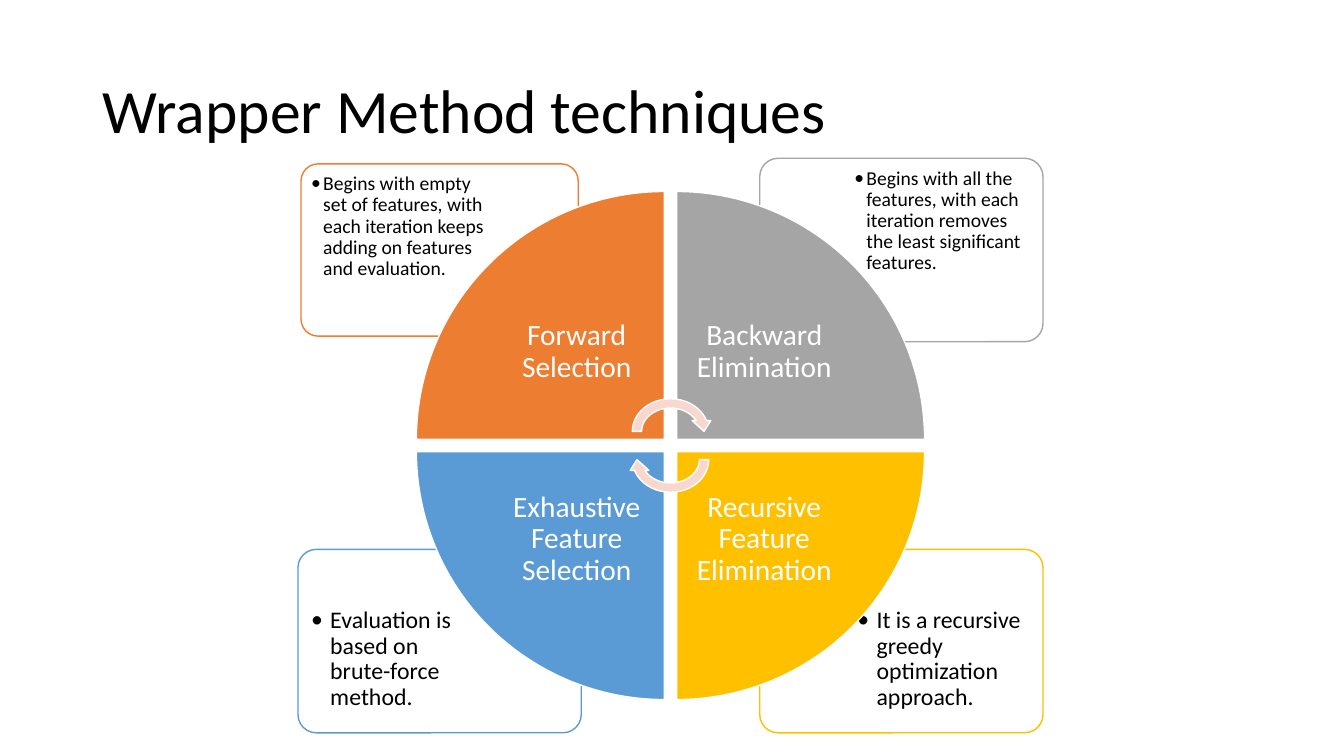
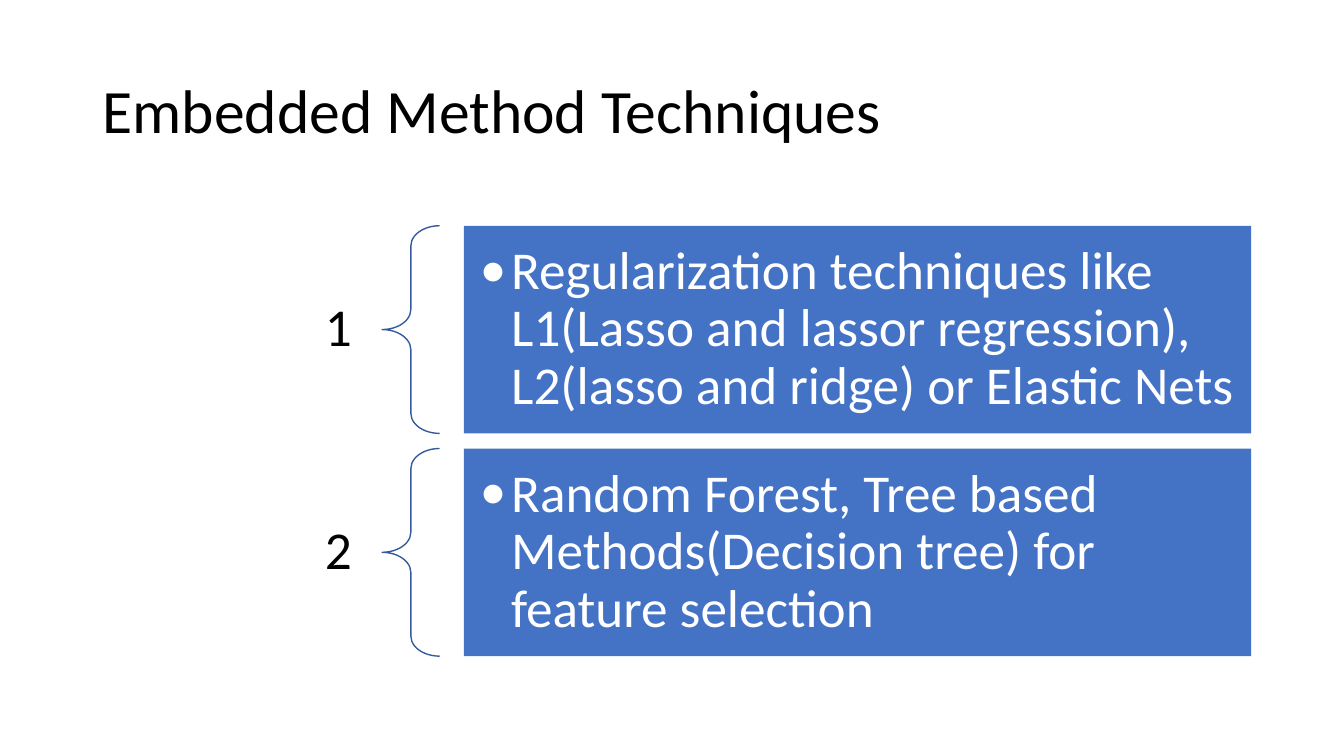
import pptx
import pptx.util
import pptx.dml.color
import pptx.enum.shapes
import pptx.enum.text
import pptx.oxml.ns
from lxml import etree

SHAPES = pptx.enum.shapes.MSO_SHAPE
ALIGN = pptx.enum.text.PP_ALIGN
ANCHOR = pptx.enum.text.MSO_ANCHOR
WIDTH, HEIGHT = 13.33, 7.5
BLACK, WHITE = "000000", "FFFFFF"
BLUE, BRACE_BLUE, CYCLE_PINK = "4472C4", "365B9D", "F8D7CE"

WRAPPER_TITLE = "Wrapper Method techniques"
WRAPPER_TECHNIQUES = [
    {"name": "Recursive Feature Elimination", "side": 1, "level": 1, "turn": 180,
     "color": "FFC000", "callout": (2.81, 1.82), "size": 17, "inset": 0.09, "indent": 0.19,
     "detail": "It is a recursive greedy optimization approach."},
    {"name": "Exhaustive Feature Selection", "side": -1, "level": 1, "turn": 270,
     "color": "5B9BD5", "callout": (2.81, 1.82), "size": 17, "inset": 0.09, "indent": 0.19,
     "detail": "Evaluation is based on brute-force method."},
    {"name": "Backward Elimination", "side": 1, "level": -1, "turn": 90,
     "color": "A5A5A5", "callout": (2.81, 1.82), "size": 14, "inset": 0.06, "indent": 0.12,
     "detail": "Begins with all the features, with each iteration removes "
               "the least significant features."},
    {"name": "Forward Selection", "side": -1, "level": -1, "turn": 0,
     "color": "ED7D31", "callout": (2.75, 1.71), "size": 14, "inset": 0.06, "indent": 0.12,
     "detail": "Begins with empty set of features, with each iteration keeps "
               "adding on features and evaluation."},
]
EMBEDDED_TITLE = "Embedded Method Techniques"
EMBEDDED_TECHNIQUES = [
    "Regularization techniques like L1(Lasso and lassor regression), "
    "L2(lasso and ridge) or Elastic Nets",
    "Random Forest, Tree based Methods(Decision tree) for feature selection",
]


def rgb(color):
    return pptx.dml.color.RGBColor.from_string(color)


def inches(values):
    return [pptx.util.Inches(value) for value in values]


def assign(target, values):
    for key, value in values.items():
        setattr(target, key, value)


def write(shape, text, size, color=BLACK, align=ALIGN.LEFT, anchor=ANCHOR.MIDDLE,
          insets=(0.1, 0.05), indent=0):
    across, down = inches(insets)
    frame = shape.text_frame
    assign(frame, {"word_wrap": True, "vertical_anchor": anchor,
                   "margin_left": across, "margin_right": across,
                   "margin_top": down, "margin_bottom": down})
    paragraph = frame.paragraphs[0]
    assign(paragraph, {"text": text, "alignment": align, "line_spacing": 0.9})
    if indent:
        properties = paragraph._p.get_or_add_pPr()
        hang = pptx.util.Inches(indent)
        properties.set("marL", str(hang))
        properties.set("indent", str(-hang))
        bullet_font = etree.SubElement(properties, pptx.oxml.ns.qn("a:buFont"))
        bullet_font.set("typeface", "Calibri")
        bullet = etree.SubElement(properties, pptx.oxml.ns.qn("a:buChar"))
        bullet.set("char", "•")
    font = paragraph.runs[0].font
    assign(font, {"name": "Calibri", "size": pptx.util.Pt(size)})
    font.color.rgb = rgb(color)


def add_text(slide, box, text, size, **style):
    write(slide.shapes.add_textbox(*inches(box)), text, size, **style)


def draw(slide, kind, box, fill=None, line=None, turn=0, adjust=()):
    shape = slide.shapes.add_shape(kind, *inches(box))
    shape.shadow.inherit = False
    shape.rotation = turn
    for index, value in enumerate(adjust):
        shape.adjustments[index] = value
    if fill:
        shape.fill.solid()
        shape.fill.fore_color.rgb = rgb(fill)
    else:
        shape.fill.background()
    if line:
        shape.line.color.rgb = rgb(line)
        shape.line.width = pptx.util.Pt(1)
    else:
        shape.line.fill.background()
    return shape


def add_titled_slide(deck, title):
    slide = deck.slides.add_slide(deck.slide_layouts[6])
    add_text(slide, (0.92, 0.4, 11.5, 1.45), title, 44)
    return slide


def outward(center, direction, gap, length):
    return center + gap if direction > 0 else center - gap - length


def build_wrapper(deck):
    slide = add_titled_slide(deck, WRAPPER_TITLE)
    center_x, center_y = 6.65, 4.42
    gap, radius, label = 0.06, 2.46, 1.74
    reach_x, reach_y, edge = 2.29, 1.94, 0.04

    for technique in WRAPPER_TECHNIQUES:
        side, level = technique["side"], technique["level"]
        width, height = technique["callout"]
        middle_x, middle_y = center_x + side * reach_x, center_y + level * reach_y
        draw(slide, SHAPES.ROUNDED_RECTANGLE,
             (middle_x - width / 2, middle_y - height / 2, width, height),
             fill=WHITE, line=technique["color"], adjust=(0.1,))
        text_width, text_height = width * 0.673, height * 0.709
        text_x = middle_x + side * (width / 2 - edge - text_width / 2) - text_width / 2
        text_y = middle_y + level * (height / 2 - edge - text_height / 2) - text_height / 2
        add_text(slide, (text_x, text_y, text_width, text_height),
                 technique["detail"], technique["size"], anchor=ANCHOR.TOP,
                 insets=(technique["inset"],) * 2, indent=technique["indent"])

    for technique in WRAPPER_TECHNIQUES:
        wedge, name_box = [
            (outward(center_x, technique["side"], gap, length),
             outward(center_y, technique["level"], gap, length), length, length)
            for length in (radius, label)]
        draw(slide, SHAPES.PIE_WEDGE, wedge, fill=technique["color"], line=WHITE,
             turn=technique["turn"])
        add_text(slide, name_box, technique["name"], 21, color=WHITE,
                 align=ALIGN.CENTER, insets=(0.16, 0.16))

    arrow_width, arrow_height = 0.85, 0.74
    for level, turn in ((-1, 0), (1, 180)):
        draw(slide, SHAPES.CIRCULAR_ARROW,
             (center_x - arrow_width / 2, center_y + level * 0.14 - arrow_height / 2,
              arrow_width, arrow_height), fill=CYCLE_PINK, line=WHITE, turn=turn)


def build_embedded(deck):
    slide = add_titled_slide(deck, EMBEDDED_TITLE)
    top, height, gap, number_height = 2.24, 2.06, 0.15, 0.82
    for index, technique in enumerate(EMBEDDED_TECHNIQUES):
        row = top + index * (height + gap)
        add_text(slide, (0.92, row + (height - number_height) / 2, 2.87, number_height),
                 str(index + 1), 38, align=ALIGN.RIGHT, insets=(0.3, 0.11))
        draw(slide, SHAPES.LEFT_BRACE, (3.79, row, 0.57, height),
             line=BRACE_BLUE, adjust=(0.35, 0.5))
        panel = draw(slide, SHAPES.RECTANGLE, (4.6, row, 7.81, height), fill=BLUE)
        write(panel, technique, 38, color=WHITE, insets=(0.16, 0.16), indent=0.31)


def main():
    deck = pptx.Presentation()
    assign(deck, {"slide_width": pptx.util.Inches(WIDTH),
                  "slide_height": pptx.util.Inches(HEIGHT)})
    build_wrapper(deck)
    build_embedded(deck)
    deck.save("out.pptx")


if __name__ == "__main__":
    main()
